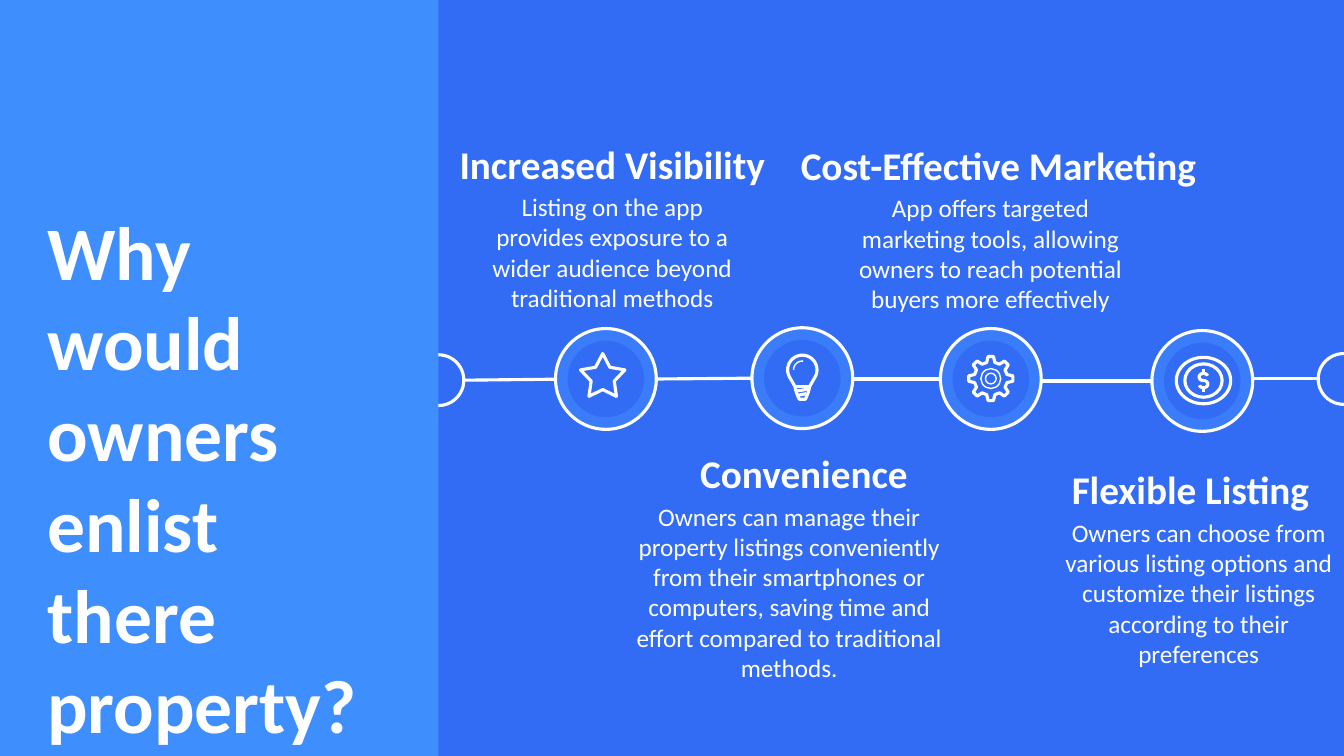
import math
from lxml import etree
from pptx import Presentation
from pptx import util as u
from pptx.dml.color import RGBColor
from pptx.enum import shapes, text
from pptx.oxml.ns import qn

WHITE, BASE, PANEL, RING = "FFFFFF", "326CF4", "3E8EFD", "3B7CFA"
WIDTH, HEIGHT = 33.87, 19.05
TITLE = "Why would owners enlist there property?"
BENEFITS = [
    {"heading": ("Increased Visibility", 15.43, 10.24),
     "body": ("Listing on the app provides exposure to a wider audience beyond traditional methods", 15.43, 7.34),
     "top": 3.4},
    {"heading": ("Cost-Effective Marketing", 25.16, 10.64),
     "body": ("App offers targeted marketing tools, allowing owners to reach potential buyers more effectively",
              24.96, 7.34),
     "top": 3.43},
    {"heading": ("Convenience", 20.26, 10.24),
     "body": ("Owners can manage their property listings conveniently from their smartphones or computers, "
              "saving time and effort compared to traditional methods.", 19.89, 8.94),
     "top": 11.2},
    {"heading": ("Flexible Listing", 30, 7.6),
     "body": ("Owners can choose from various listing options and customize their listings "
              "according to their preferences", 30.21, 7.34),
     "top": 11.61},
]
ENDS = [(11.05, 9.58), (33.86, 9.55)]
NODES = [(15.27, 9.55), (20.22, 9.53), (24.97, 9.55), (30.3, 9.6)]
LINKS = [(11.71, 9.58, 16.36, 9.53), (16.54, 9.55, 18.92, 9.53), (20.62, 9.55, 23.67, 9.55),
         (26.24, 9.6, 29.44, 9.6), (31.34, 9.53, 33.2, 9.53)]
STAR, BULB, GEAR, COIN = (15.19, 9.45), (20.22, 9.51), (24.97, 9.54), (30.33, 9.59)
BULB_BASE = [(0.19, 0.22), (0.15, 0.38), (0.08, 0.55), (-0.08, 0.55), (-0.15, 0.38), (-0.19, 0.22)]
BULB_BANDS = [[(-0.17, 0.23), (0.17, 0.23)], [(-0.13, 0.34), (0.14, 0.3)], [(-0.1, 0.45), (0.1, 0.41)]]
HEADING = {"size": u.Pt(28), "bold": True}
BODY = {"size": u.Pt(18), "bold": False}
BIG = {"size": u.Pt(54), "bold": True}

prs = Presentation()
prs.slide_width, prs.slide_height = u.Cm(WIDTH), u.Cm(HEIGHT)
s = prs.slides.add_slide(prs.slide_layouts[5])


def rgb(value):
    return RGBColor.from_string(value)


def paint(sp, fill=None, line=None, weight=2.25):
    sp.shadow.inherit = False
    if fill:
        sp.fill.solid()
        sp.fill.fore_color.rgb = rgb(fill)
    else:
        sp.fill.background()
    if line:
        sp.line.color.rgb = rgb(line)
        sp.line.width = u.Pt(weight)
    else:
        sp.line.fill.background()


def centred(kind, centre, width, height, **look):
    x, y = centre
    sp = s.shapes.add_shape(kind, u.Cm(x - width / 2), u.Cm(y - height / 2), u.Cm(width), u.Cm(height))
    paint(sp, **look)
    return sp


def oval(centre, width, height, **look):
    return centred(shapes.MSO_SHAPE.OVAL, centre, width, height, **look)


def stroke(centre, points, close=False, weight=2.25):
    pts = [(u.Cm(centre[0] + x), u.Cm(centre[1] + y)) for x, y in points]
    fb = s.shapes.build_freeform(*pts[0])
    fb.add_line_segments(pts[1:], close=close)
    paint(fb.convert_to_shape(), line=WHITE, weight=weight)


def arc(cx, cy, rx, ry, start, end, steps=24):
    angles = [math.radians(start + (end - start) * i / steps) for i in range(steps + 1)]
    return [(cx + rx * math.cos(a), cy + ry * math.sin(a)) for a in angles]


def write(sp, words, look, align):
    tf = sp.text_frame
    tf.word_wrap = True
    tf.auto_size = text.MSO_AUTO_SIZE.SHAPE_TO_FIT_TEXT
    tf.vertical_anchor = text.MSO_ANCHOR.TOP
    p = tf.paragraphs[0]
    p.alignment = align
    r = p.add_run()
    r.text = words
    for name, value in {"name": "Calibri", **look}.items():
        setattr(r.font, name, value)
    r.font.color.rgb = rgb(WHITE)


def label(item, top, height, look):
    words, centre, width = item
    sp = s.shapes.add_textbox(u.Cm(centre - width / 2), u.Cm(top), u.Cm(width), u.Cm(height))
    write(sp, words, look, text.PP_ALIGN.CENTER)


s.background.fill.solid()
s.background.fill.fore_color.rgb = rgb(BASE)

for end in ENDS:
    oval(end, 1.28, 1.28, fill=BASE, line=WHITE)
panel = s.shapes.add_shape(shapes.MSO_SHAPE.RECTANGLE, 0, 0, u.Cm(11.05), u.Cm(HEIGHT))
paint(panel, fill=PANEL)

title = s.shapes.title
for name, value in {"left": 0.94, "top": 5.03, "width": 9.42, "height": 11.79}.items():
    setattr(title, name, u.Cm(value))
write(title, TITLE, BIG, text.PP_ALIGN.LEFT)
s.shapes._spTree.append(title._element)

for link in LINKS:
    c = s.shapes.add_connector(shapes.MSO_CONNECTOR.STRAIGHT, *[u.Cm(v) for v in link])
    c.line.color.rgb = rgb(WHITE)
    c.line.width = u.Pt(2.25)
    etree.SubElement(c._element.spPr, qn("a:effectLst"))

for node in NODES:
    oval(node, 2.54, 2.54, fill=RING, line=WHITE)
    oval(node, 1.93, 1.93, fill=BASE)

for benefit in BENEFITS:
    label(benefit["heading"], benefit["top"], 1.45, HEADING)
    label(benefit["body"], benefit["top"] + 1.3, 3.33, BODY)

star = centred(shapes.MSO_SHAPE.STAR_5_POINT, STAR, 1.12, 1.08, line=WHITE)
star.adjustments[0] = 0.26

stroke(BULB, arc(0, -0.19, 0.37, 0.37, 150, 390) + BULB_BASE, close=True)
for band in BULB_BANDS:
    stroke(BULB, band)
stroke(BULB, arc(0, -0.19, 0.22, 0.22, 180, 275), weight=1)

teeth = [(r, 45 * i + turn) for i in range(8)
         for r, turn in ((0.42, -14), (0.56, -7), (0.56, 7), (0.42, 14))]
stroke(GEAR, [(r * math.cos(math.radians(a)), r * math.sin(math.radians(a))) for r, a in teeth], close=True)
for size in (0.5, 0.27):
    oval(GEAR, size, size, line=WHITE, weight=1)

for width, height in ((1.37, 1.17), (0.94, 0.84)):
    oval(COIN, width, height, line=WHITE)
stroke(COIN, arc(0, -0.09, 0.11, 0.09, -20, -270) + arc(0, 0.09, 0.11, 0.09, -90, 160))
for top, bottom in ((-0.28, -0.18), (0.18, 0.28)):
    stroke(COIN, [(0, top), (0, bottom)])

prs.save("out.pptx")
